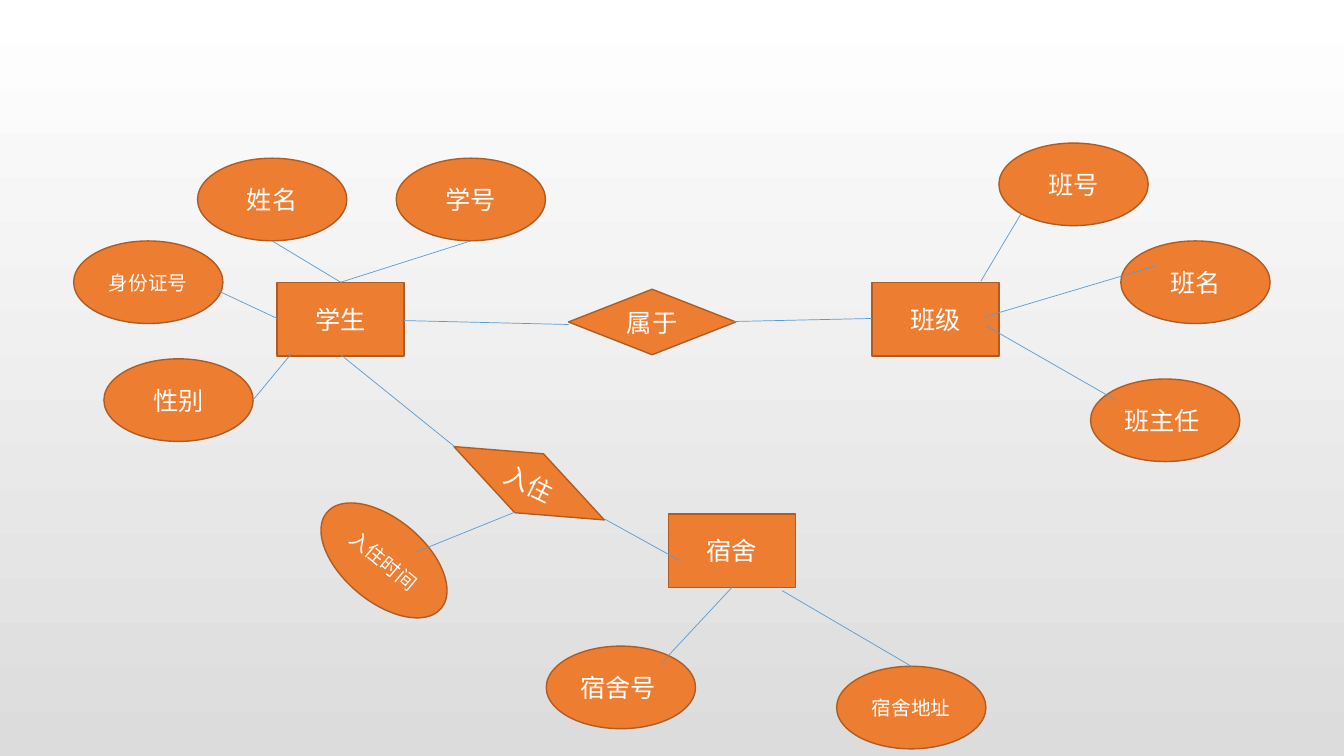
from lxml.etree import SubElement
from pptx import Presentation
from pptx.dml.color import RGBColor
from pptx.enum.shapes import MSO_CONNECTOR, MSO_SHAPE
from pptx.enum.text import MSO_ANCHOR, PP_ALIGN
from pptx.oxml.ns import qn
from pptx.util import Pt

WHITE = RGBColor(0xFF, 0xFF, 0xFF)
GREY = RGBColor(0xDC, 0xDC, 0xDC)
ORANGE = RGBColor(0xED, 0x7D, 0x31)
BROWN = RGBColor(0xAF, 0x5C, 0x24)
BLUE = RGBColor(0x5B, 0x9B, 0xD5)

ENTITY_SIZE = (90.7, 52.6)
RELATION_SIZE = (119.5, 46.8)
ATTRIBUTE_SIZE = (106.6, 59)

ENTITIES = [
    ("学生", 198, 201.6),
    ("宿舍", 477.4, 367.2),
    ("班级", 622.8, 201.6),
]
RELATIONS = [
    ("属于", 406.1, 206.6, 0),
    ("入住", 318.2, 321.8, 26),
]
ATTRIBUTES = [
    ("宿舍号 ", 390.2, 461.5, 18, 0),
    ("宿舍地址", 597.6, 475.9, 14, 0),
    ("学号", 283, 113, 18, 0),
    ("班主任 ", 779, 270.7, 18, 0),
    ("班名", 800.6, 172.1, 18, 0),
    ("班号", 713.5, 102.2, 18, 0),
    ("姓名", 141.1, 113, 18, 0),
    ("身份证号", 52.6, 172.1, 14, 0),
    ("性别", 74.2, 256.3, 18, 0),
    ("入住时间", 221, 370.8, 14, 40),
]
LINKS = [
    (288.7, 229, 406.1, 231.8),
    (522, 229.7, 622.8, 227.5),
    (324.7, 319, 243.4, 253.4),
    (485.3, 400.3, 432, 370.8),
    (194.4, 172.1, 243.4, 201.6),
    (153.4, 206.6, 198, 227.5),
    (180.7, 285.8, 208.1, 252.7),
    (296.6, 394.6, 367.9, 365.8),
    (472.3, 473.8, 523.4, 419),
    (650.9, 475.9, 558.7, 421.9),
    (797, 285.8, 704.2, 232.6),
    (243.4, 201.6, 336.2, 172.1),
    (825.1, 190.1, 704.2, 226.1),
    (729.4, 152.6, 700.6, 200.9),
]


def paint_background(slide):
    fill = slide.background.fill
    fill.gradient()
    fill.gradient_angle = 270
    for stop, color in zip(fill.gradient_stops, (WHITE, GREY)):
        stop.color.rgb = color


def add_node(slide, outline, size, label, left, top, font_size=18, rotation=0):
    width, height = size
    node = slide.shapes.add_shape(outline, Pt(left), Pt(top), Pt(width), Pt(height))
    node.rotation = rotation
    node.shadow.inherit = False
    node.fill.solid()
    node.fill.fore_color.rgb = ORANGE
    node.line.color.rgb = BROWN
    node.line.width = Pt(1)
    node.text_frame.text = label
    node.text_frame.vertical_anchor = MSO_ANCHOR.MIDDLE
    paragraph = node.text_frame.paragraphs[0]
    paragraph.alignment = PP_ALIGN.CENTER
    font = paragraph.runs[0].font
    font.name = "Arial"
    font.size = Pt(font_size)
    font.color.rgb = WHITE


def add_link(slide, *ends):
    link = slide.shapes.add_connector(MSO_CONNECTOR.STRAIGHT, *map(Pt, ends))
    link.line.color.rgb = BLUE
    link.line.width = Pt(0.5)
    SubElement(link._element.spPr, qn("a:effectLst"))


def main():
    deck = Presentation()
    deck.slide_width, deck.slide_height = Pt(960), Pt(540)
    slide = deck.slides.add_slide(deck.slide_layouts[6])
    paint_background(slide)
    for label, left, top in ENTITIES:
        add_node(slide, MSO_SHAPE.RECTANGLE, ENTITY_SIZE, label, left, top)
    for label, left, top, rotation in RELATIONS:
        add_node(slide, MSO_SHAPE.DIAMOND, RELATION_SIZE, label, left, top, rotation=rotation)
    for attribute in ATTRIBUTES:
        add_node(slide, MSO_SHAPE.OVAL, ATTRIBUTE_SIZE, *attribute)
    for ends in LINKS:
        add_link(slide, *ends)
    deck.save("out.pptx")


main()
